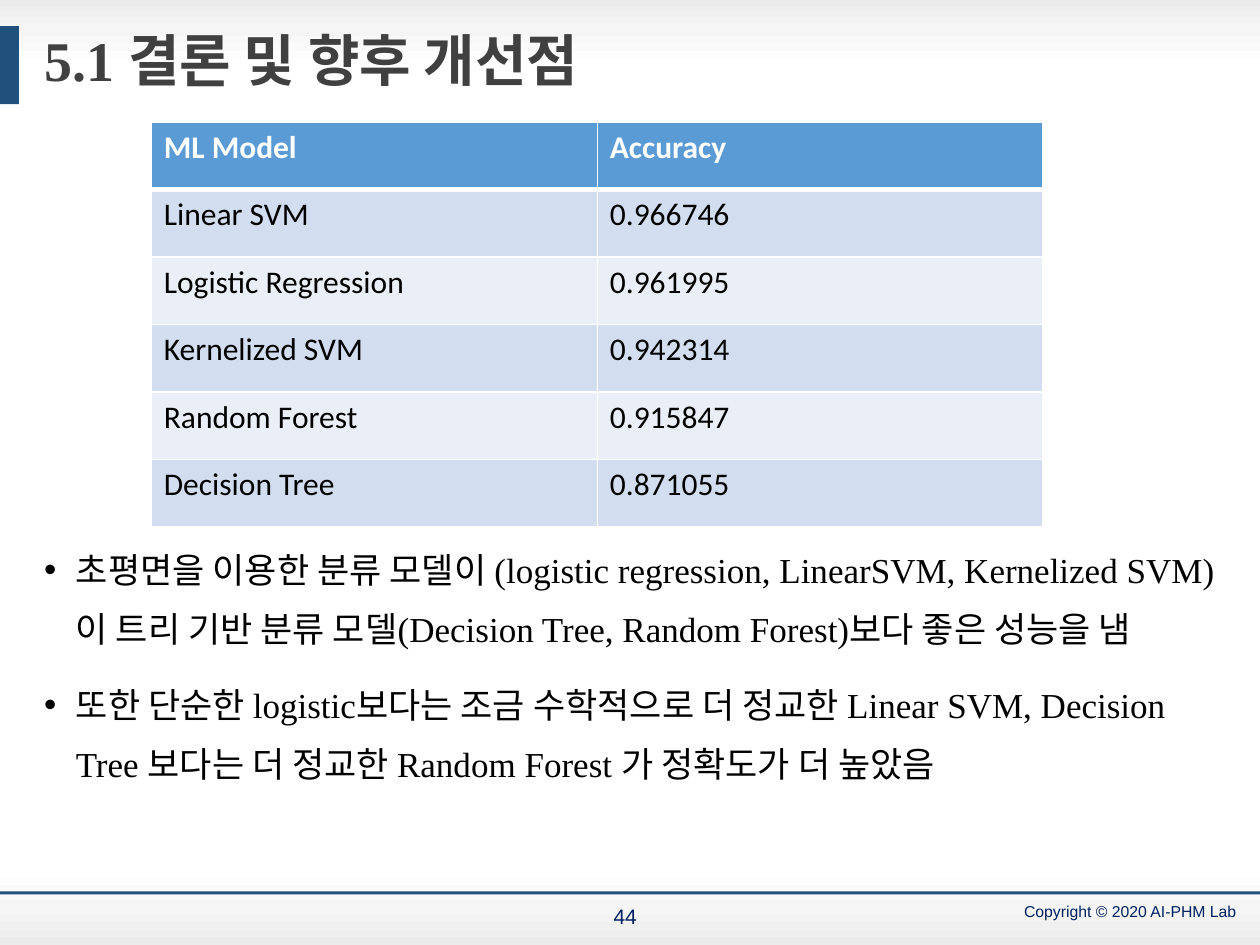
from dataclasses import dataclass

from lxml.etree import SubElement
from pptx import Presentation
from pptx.dml.color import RGBColor
from pptx.enum.shapes import MSO_SHAPE
from pptx.enum.text import MSO_ANCHOR, PP_ALIGN
from pptx.oxml.ns import qn
from pptx.util import Cm, Pt


@dataclass(frozen=True)
class Theme:
    navy: str = "20507C"
    footer: str = "002060"
    title: str = "404040"
    body: str = "000000"
    white: str = "FFFFFF"
    header: str = "5B9BD5"
    bands: tuple = ("D2DEEF", "EAEFF7")
    backdrop: tuple = ((0, "EBEBEB"), (4, "F5F5F5"), (8, "FFFFFF"),
                       (93, "FFFFFF"), (97, "F5F5F5"), (100, "EBEBEB"))
    serif: str = "Times New Roman"
    sans: str = "Arial"
    table_font: str = "Calibri"
    title_size: int = 32
    body_size: int = 20
    table_size: int = 18
    number_size: int = 12
    copyright_size: int = 9


THEME = Theme()

MODELS = [
    ("ML Model", "Accuracy"),
    ("Linear SVM", "0.966746"),
    ("Logistic Regression", "0.961995"),
    ("Kernelized SVM", "0.942314"),
    ("Random Forest", "0.915847"),
    ("Decision Tree", "0.871055"),
]

CONCLUSIONS = [
    "초평면을 이용한 분류 모델이 (logistic regression, LinearSVM, Kernelized SVM)이 "
    "트리 기반 분류 모델(Decision Tree, Random Forest)보다 좋은 성능을 냄",
    "또한 단순한 logistic보다는 조금 수학적으로 더 정교한 Linear SVM, Decision Tree "
    "보다는 더 정교한 Random Forest 가 정확도가 더 높았음",
]


def apply_format(target, values):
    for name, value in values.items():
        setattr(target, name, value)


def style_font(font, name, size, color, bold=False):
    apply_format(font, {"name": name, "size": Pt(size), "bold": bold})
    font.color.rgb = RGBColor.from_string(color)


def paint_background(slide):
    fill = slide.background.fill
    fill.gradient()
    gradient = slide.element.find(".//" + qn("a:gradFill"))
    stops = gradient.find(qn("a:gsLst"))
    for stop in list(stops):
        stops.remove(stop)
    for position, color in THEME.backdrop:
        stop = SubElement(stops, qn("a:gs"), pos=str(position * 1000))
        SubElement(stop, qn("a:srgbClr"), val=color)
    fill.gradient_angle = 90


def add_bar(slide, left, top, width, height):
    shape = slide.shapes.add_shape(
        MSO_SHAPE.RECTANGLE, Cm(left), Cm(top), Cm(width), Cm(height))
    shape.shadow.inherit = False
    shape.fill.solid()
    shape.fill.fore_color.rgb = RGBColor.from_string(THEME.navy)
    shape.line.fill.background()


def add_text(slide, box, texts, font, frame_format=None, paragraph_format=None,
             bullet_gap=None):
    shape = slide.shapes.add_textbox(*map(Cm, box))
    frame = shape.text_frame
    apply_format(frame, {"word_wrap": True, **(frame_format or {})})
    for index, text in enumerate(texts):
        paragraph = frame.paragraphs[0] if index == 0 else frame.add_paragraph()
        paragraph.text = text
        apply_format(paragraph, paragraph_format or {})
        if bullet_gap is not None:
            add_bullet(paragraph)
            paragraph.space_before = Pt(bullet_gap if index else 0)
        style_font(paragraph.font, *font)
        style_font(paragraph.runs[0].font, *font)


def add_bullet(paragraph):
    properties = paragraph._p.get_or_add_pPr()
    indent = Cm(0.64)
    properties.set("marL", str(indent))
    properties.set("indent", str(-indent))
    SubElement(properties, qn("a:buFont"), typeface=THEME.sans)
    SubElement(properties, qn("a:buChar"), char="•")


def add_borders(cell, widths):
    properties = cell._tc.get_or_add_tcPr()
    for position, (side, width) in enumerate(widths.items()):
        line = SubElement(properties, qn(f"a:{side}"), w=str(Pt(width)))
        fill = SubElement(line, qn("a:solidFill"))
        SubElement(fill, qn("a:srgbClr"), val=THEME.white)
        properties.insert(position, line)


def add_model_table(slide):
    header_height, row_height, column_width = Cm(1.35), Cm(1.36), Cm(8.99)
    height = header_height + row_height * (len(MODELS) - 1)
    table = slide.shapes.add_table(
        len(MODELS), 2, Cm(3.05), Cm(2.47), column_width * 2, height).table
    for column in table.columns:
        column.width = column_width
    for row_index, values in enumerate(MODELS):
        is_header = row_index == 0
        table.rows[row_index].height = header_height if is_header else row_height
        fill = THEME.header if is_header else THEME.bands[(row_index - 1) % 2]
        color = THEME.white if is_header else THEME.body
        borders = {"lnL": 1, "lnR": 1, "lnT": 3 if row_index == 1 else 1,
                   "lnB": 3 if is_header else 1}
        for column_index, value in enumerate(values):
            cell = table.cell(row_index, column_index)
            cell.text = value
            cell.fill.solid()
            cell.fill.fore_color.rgb = RGBColor.from_string(fill)
            add_borders(cell, borders)
            run = cell.text_frame.paragraphs[0].runs[0]
            style_font(run.font, THEME.table_font, THEME.table_size, color, is_header)


def main():
    presentation = Presentation()
    apply_format(presentation, {"slide_width": Cm(25.4), "slide_height": Cm(19.05)})
    slide = presentation.slides.add_slide(presentation.slide_layouts[6])
    paint_background(slide)
    add_bar(slide, -0.03, 0.53, 0.41, 1.57)
    add_bar(slide, 0, 17.97, 25.4, 0.06)
    add_text(slide, (12.12, 18.08, 1.14, 0.76), ["44"],
             (THEME.sans, THEME.number_size, THEME.footer))
    add_text(slide, (20.32, 18.06, 4.85, 0.64), ["Copyright © 2020 AI-PHM Lab"],
             (THEME.sans, THEME.copyright_size, THEME.footer),
             {"word_wrap": False}, {"alignment": PP_ALIGN.RIGHT})
    add_text(slide, (0.64, 0.53, 24.26, 1.5), ["5.1 결론 및 향후 개선점"],
             (THEME.serif, THEME.title_size, THEME.title, True),
             {"vertical_anchor": MSO_ANCHOR.MIDDLE}, {"line_spacing": 0.9})
    add_text(slide, (0.64, 10.59, 24.26, 6.96), CONCLUSIONS,
             (THEME.serif, THEME.body_size, THEME.body),
             paragraph_format={"line_spacing": 1.4}, bullet_gap=10)
    add_model_table(slide)
    presentation.save("out.pptx")


if __name__ == "__main__":
    main()
